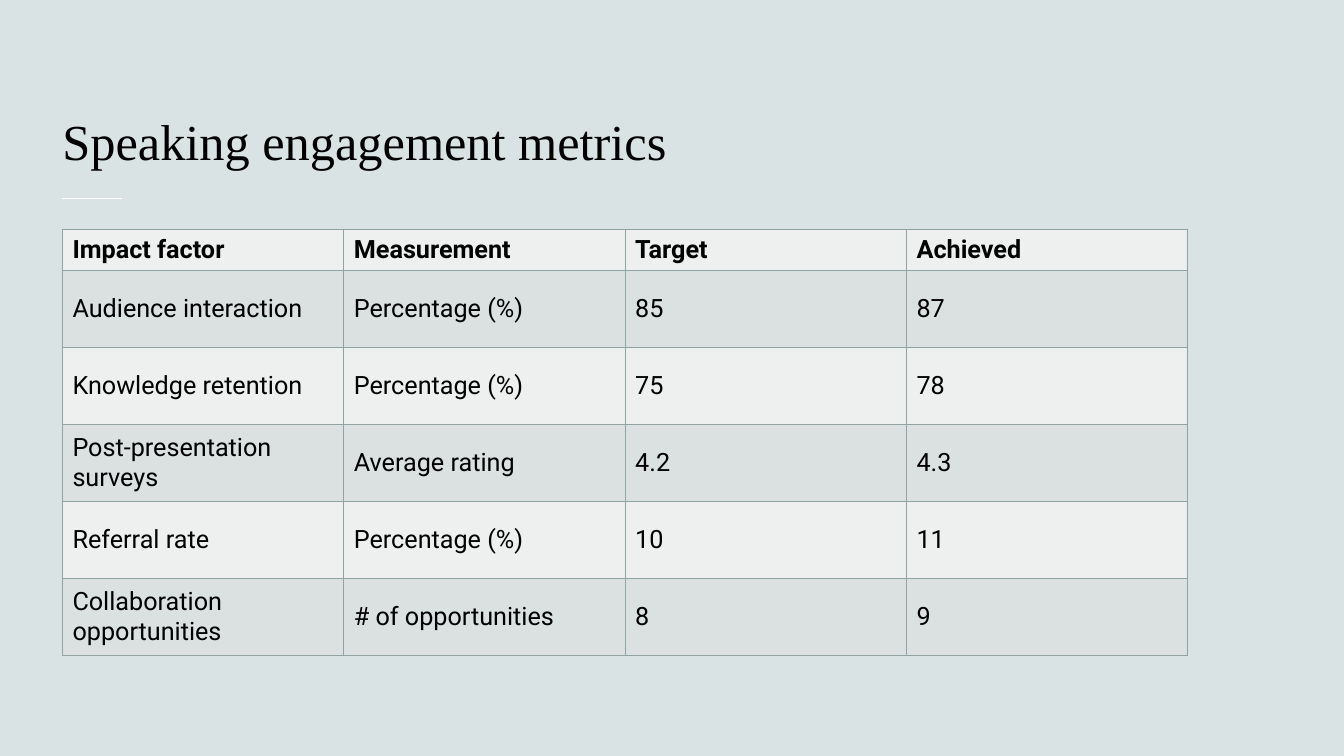
"""Builds the speaking engagement metrics slide."""
from dataclasses import dataclass

from lxml.etree import SubElement
from pptx import Presentation
from pptx.dml.color import RGBColor
from pptx.enum.shapes import MSO_CONNECTOR
from pptx.enum.text import MSO_ANCHOR
from pptx.oxml.ns import qn
from pptx.util import Pt

TITLE = "Speaking engagement metrics"
METRICS = [
    ("Impact factor", "Measurement", "Target", "Achieved"),
    ("Audience interaction", "Percentage (%)", "85", "87"),
    ("Knowledge retention", "Percentage (%)", "75", "78"),
    ("Post-presentation surveys", "Average rating", "4.2", "4.3"),
    ("Referral rate", "Percentage (%)", "10", "11"),
    ("Collaboration opportunities", "# of opportunities", "8", "9"),
]


@dataclass(frozen=True)
class Theme:
    background: str = "DAE3E3"
    ink: str = "000000"
    accent: str = "FFFFFF"
    border: str = "8FA3A3"
    bands: tuple = ("EEF0F0", "DBE0E0")
    title_font: str = "Times New Roman"
    body_font: str = "Roboto"
    title_size: int = 36
    body_size: int = 18
    line_width: int = 1


THEME = Theme()
SLIDE_WIDTH, SLIDE_HEIGHT = 960, 540
LEFT = 44.6
TITLE_TOP, TITLE_WIDTH, TITLE_HEIGHT = 31.7, 870, 93.6
ACCENT_Y, ACCENT_LENGTH = 141.8, 42.6
TABLE_TOP, COLUMN_WIDTH = 164.2, 201
HEADER_HEIGHT, ROW_HEIGHT = 26, 55


def style_runs(text_frame, font_name, size, bold=False):
    for paragraph in text_frame.paragraphs:
        for run in paragraph.runs:
            run.font.name = font_name
            run.font.size = Pt(size)
            run.font.bold = bold
            run.font.color.rgb = RGBColor.from_string(THEME.ink)


def add_title(slide):
    heading = slide.shapes.add_textbox(
        Pt(LEFT), Pt(TITLE_TOP), Pt(TITLE_WIDTH), Pt(TITLE_HEIGHT)
    ).text_frame
    heading.word_wrap = True
    heading.vertical_anchor = MSO_ANCHOR.BOTTOM
    heading.margin_left = Pt(0)
    heading.text = TITLE
    style_runs(heading, THEME.title_font, THEME.title_size)


def add_accent(slide):
    accent = slide.shapes.add_connector(
        MSO_CONNECTOR.STRAIGHT,
        Pt(LEFT), Pt(ACCENT_Y), Pt(LEFT + ACCENT_LENGTH), Pt(ACCENT_Y),
    )
    accent.line.color.rgb = RGBColor.from_string(THEME.accent)
    accent.line.width = Pt(THEME.line_width)
    SubElement(accent._element.spPr, qn("a:effectLst"))


def add_borders(cell):
    properties = cell._tc.get_or_add_tcPr()
    for side in ("a:lnL", "a:lnR", "a:lnT", "a:lnB"):
        edge = SubElement(properties, qn(side), w=str(Pt(THEME.line_width)))
        fill = SubElement(edge, qn("a:solidFill"))
        SubElement(fill, qn("a:srgbClr"), val=THEME.border)


def add_metrics(slide):
    heights = [HEADER_HEIGHT] + [ROW_HEIGHT] * (len(METRICS) - 1)
    columns = len(METRICS[0])
    metrics = slide.shapes.add_table(
        len(METRICS), columns,
        Pt(LEFT), Pt(TABLE_TOP), Pt(COLUMN_WIDTH * columns), Pt(sum(heights)),
    ).table
    for column in metrics.columns:
        column.width = Pt(COLUMN_WIDTH)
    for row_index, (values, height) in enumerate(zip(METRICS, heights)):
        metrics.rows[row_index].height = Pt(height)
        band = RGBColor.from_string(THEME.bands[row_index % 2])
        for column_index, value in enumerate(values):
            cell = metrics.cell(row_index, column_index)
            cell.text_frame.text = value
            cell.vertical_anchor = MSO_ANCHOR.MIDDLE
            add_borders(cell)
            cell.fill.solid()
            cell.fill.fore_color.rgb = band
            style_runs(cell.text_frame, THEME.body_font, THEME.body_size, row_index == 0)


def main():
    deck = Presentation()
    deck.slide_width, deck.slide_height = Pt(SLIDE_WIDTH), Pt(SLIDE_HEIGHT)
    slide = deck.slides.add_slide(deck.slide_layouts[6])
    slide.background.fill.solid()
    slide.background.fill.fore_color.rgb = RGBColor.from_string(THEME.background)
    add_accent(slide)
    add_title(slide)
    add_metrics(slide)
    deck.save("out.pptx")


if __name__ == "__main__":
    main()
